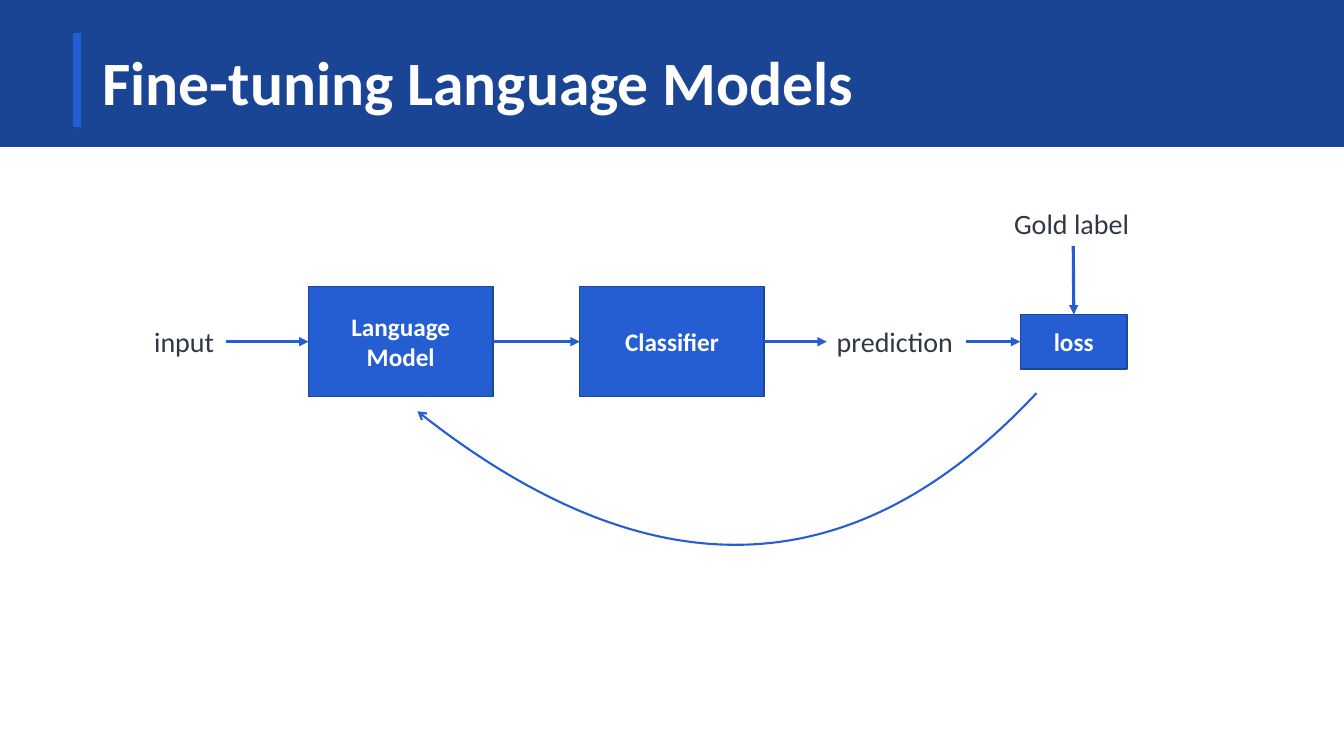
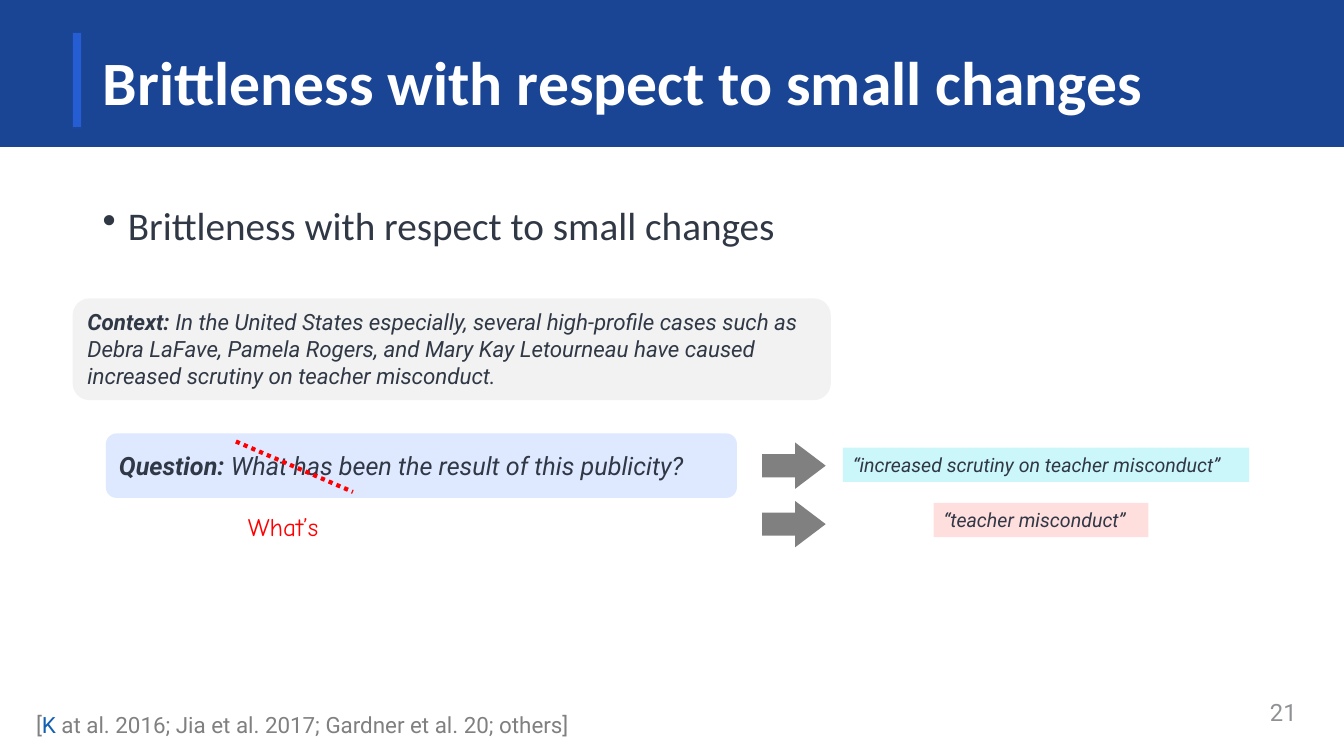
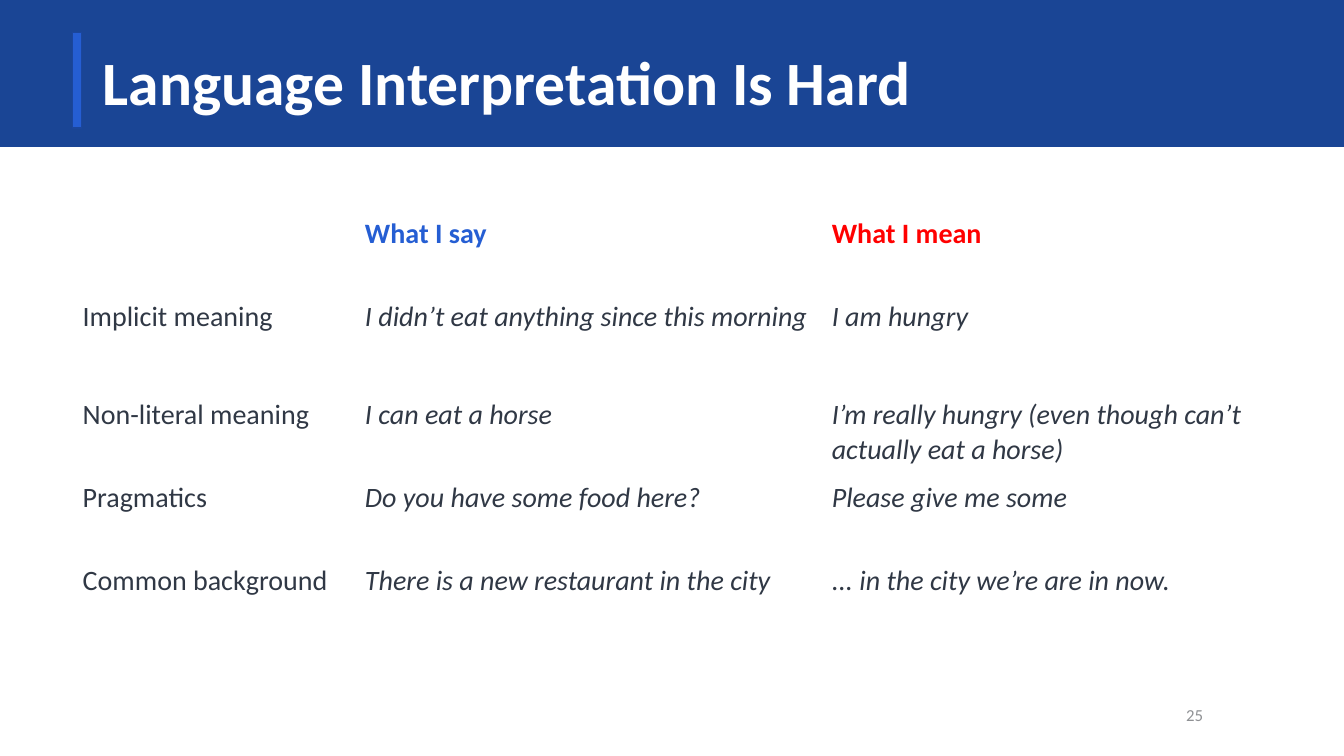
import dataclasses

import pptx
import pptx.dml.color
import pptx.enum.dml
import pptx.enum.shapes
import pptx.enum.text
import pptx.oxml
import pptx.oxml.ns
import pptx.util

Inches = pptx.util.Inches
Shape = pptx.enum.shapes.MSO_SHAPE
Align = pptx.enum.text.PP_ALIGN
Anchor = pptx.enum.text.MSO_ANCHOR
TOP, LEFT, BOTTOM, RIGHT = range(4)


@dataclasses.dataclass(frozen=True)
class Theme:
    band: str = "1A4595"
    accent: str = "255ED3"
    edge: str = "1B469C"
    ink: str = "303845"
    white: str = "FFFFFF"
    red: str = "FF0000"
    gray: str = "808080"
    number: str = "8F9194"
    cite: str = "1360B2"
    context: str = "F2F2F2"
    question: str = "93B4FF"
    answer: str = "CCF7FA"
    main_font: str = "Calibri"
    quote_font: str = "Roboto"
    hand_font: str = "Comic Neue"
    title_size: int = 44
    body_size: int = 28
    label_size: int = 20
    box_size: int = 18
    context_size: int = 16
    answer_size: int = 14
    arrow_width: float = 2.25
    curve_width: float = 1.5


THEME = Theme()


@dataclasses.dataclass(frozen=True)
class Style:
    size: int
    color: str = THEME.ink
    font: str = THEME.main_font
    bold: bool = False
    italic: bool = False

    def but(self, **changes):
        return dataclasses.replace(self, **changes)


TITLE = Style(THEME.title_size, THEME.white, bold=True)
BODY = Style(THEME.body_size)
LABEL = Style(THEME.label_size)
BOX = Style(THEME.box_size, THEME.white, bold=True)
CONTEXT = Style(THEME.context_size, font=THEME.quote_font, italic=True)
QUESTION = CONTEXT.but(size=THEME.box_size)
ANSWER = CONTEXT.but(size=THEME.answer_size)
CITATION = Style(THEME.context_size, THEME.gray, THEME.quote_font)
NOTE = Style(THEME.box_size, THEME.red, THEME.hand_font)


def rgb(color):
    return pptx.dml.color.RGBColor.from_string(color)


def add_xml(parent, tag, **attributes):
    child = pptx.oxml.parse_xml(f"<a:{tag} {pptx.oxml.ns.nsdecls('a')}/>")
    for name, value in attributes.items():
        child.set(name, str(value))
    parent.append(child)
    return child


def write(frame, spans, align=Align.LEFT, anchor=Anchor.TOP, wrap=True, spacing=None):
    """Fill the frame's one paragraph with (text, style) spans."""
    frame.word_wrap = wrap
    frame.vertical_anchor = anchor
    para = frame.paragraphs[0]
    para.alignment = align
    if spacing:
        para.line_spacing = spacing
    for text, style in spans:
        span = para.add_run()
        span.text = text
        span.font.name = style.font
        span.font.size = pptx.util.Pt(style.size)
        span.font.bold = style.bold
        span.font.italic = style.italic
        span.font.color.rgb = rgb(style.color)
    return para


def add_text(page, at, spans, **layout):
    box = page.shapes.add_textbox(*map(Inches, at))
    write(box.text_frame, spans, **layout)
    return box


def add_label(page, at, text, style=LABEL):
    """Add a one-line text box that fits its text."""
    box = add_text(page, at, [(text, style)], wrap=False)
    box.text_frame.auto_size = pptx.enum.text.MSO_AUTO_SIZE.SHAPE_TO_FIT_TEXT
    return box


def add_shape(page, kind, at, fill, edge=None, opacity=None):
    shape = page.shapes.add_shape(kind, *map(Inches, at))
    shape.shadow.inherit = False
    shape.fill.solid()
    shape.fill.fore_color.rgb = rgb(fill)
    if opacity:
        color = shape.fill._xPr.find(".//" + pptx.oxml.ns.qn("a:srgbClr"))
        add_xml(color, "alpha", val=opacity * 1000)
    if edge:
        shape.line.color.rgb = rgb(edge)
        shape.line.width = pptx.util.Pt(1)
    else:
        shape.line.fill.background()
    return shape


def style_line(shape, color, width):
    shape.line.color.rgb = rgb(color)
    shape.line.width = pptx.util.Pt(width)


def add_line(page, start, end, color, width):
    line = page.shapes.add_connector(
        pptx.enum.shapes.MSO_CONNECTOR.STRAIGHT, *map(Inches, start + end))
    style_line(line, color, width)
    add_xml(line._element.spPr, "effectLst")
    return line


def join(page, source, source_side, target, target_side):
    """Draw an arrow between the side middles of two boxes."""
    arrow = add_line(page, (0, 0), (0, 0), THEME.accent, THEME.arrow_width)
    arrow.begin_connect(source, source_side)
    arrow.end_connect(target, target_side)
    add_xml(arrow.line._get_or_add_ln(), "tailEnd", type="triangle")


def add_curved_arrow(page, points, height):
    """Draw one cubic curve; its arrowhead is at the first of the four points."""
    points = [tuple(map(Inches, point)) for point in points]
    builder = page.shapes.build_freeform(*points[0])
    builder.add_line_segments(points[1:], close=False)
    curve = builder.convert_to_shape()
    curve.shadow.inherit = False
    curve.fill.background()
    style_line(curve, THEME.accent, THEME.curve_width)
    add_xml(curve.line._get_or_add_ln(), "headEnd", type="arrow")

    outline = curve._element.spPr.find(".//" + pptx.oxml.ns.qn("a:path"))
    bezier = add_xml(outline, "cubicBezTo")
    for segment in outline.findall(pptx.oxml.ns.qn("a:lnTo")):
        bezier.append(segment[0])
        outline.remove(segment)
    # The control points lie below the visible curve.
    curve.height = Inches(height)
    outline.set("h", str(curve.height))


def add_page(deck, title):
    """Add a slide with the shared title band."""
    page = deck.slides.add_slide(deck.slide_layouts[6])
    add_shape(page, Shape.RECTANGLE, (0, 0, 13.33, 1.45), THEME.band, THEME.band)
    add_shape(page, Shape.RECTANGLE, (0.72, 0.32, 0.09, 0.95), THEME.accent, THEME.edge)
    add_text(page, (0.92, 0.32, 11.5, 1.05), [(title, TITLE)],
             anchor=Anchor.MIDDLE, spacing=0.9)
    return page


def add_page_number(page, at, number, size, font):
    add_text(page, at, [(number, Style(size, THEME.number, font))],
             align=Align.RIGHT, anchor=Anchor.MIDDLE)


def add_step(page, left, axis, width, height, text):
    """Add a blue box centred on the horizontal axis."""
    step = add_shape(page, Shape.RECTANGLE, (left, axis - height / 2, width, height),
                     THEME.accent, THEME.edge)
    write(step.text_frame, [(text, BOX)], align=Align.CENTER, anchor=Anchor.MIDDLE)
    return step


def build_fine_tuning(deck):
    page = add_page(deck, "Fine-tuning Language Models")
    axis, label_height = 3.39, 0.44
    label_top = axis - label_height / 2
    model = add_step(page, 3.06, axis, 1.83, 1.09, "Language Model")
    classifier = add_step(page, 5.75, axis, 1.83, 1.09, "Classifier")
    loss = add_step(page, 10.12, axis, 1.06, 0.54, "loss")
    source = add_label(page, (1.43, label_top, 0.81, label_height), "input")
    prediction = add_label(page, (8.2, label_top, 1.38, label_height), "prediction")
    gold = add_label(page, (9.96, 2, 1.37, label_height), "Gold label")

    flow = [source, model, classifier, prediction, loss]
    for before, after in zip(flow, flow[1:]):
        join(page, before, RIGHT, after, LEFT)
    join(page, gold, BOTTOM, loss, TOP)
    add_curved_arrow(page, [(4.14, 4.08), (6.43, 5.9), (8.48, 5.83), (10.28, 3.9)], 1.5)


def build_brittleness(deck):
    title = "Brittleness with respect to small changes"
    page = add_page(deck, title)

    body = page.shapes.add_textbox(*map(Inches, (0.92, 2, 11.5, 0.6)))
    properties = body.text_frame.paragraphs[0]._p.get_or_add_pPr()
    properties.set("marL", str(Inches(0.25)))
    properties.set("indent", str(Inches(-0.25)))
    add_xml(properties, "buChar", char="•")
    write(body.text_frame, [(title, BODY)], spacing=0.9)

    add_page_number(page, (9.96, 6.86, 3, 0.4), "21", 17, THEME.quote_font)
    add_text(page, (0.2, 7.01, 5.6, 0.37), [
        ("[", CITATION),
        ("K", CITATION.but(color=THEME.cite)),
        (" at al. 2016; Jia et al. 2017; Gardner et al. 20; others]", CITATION),
    ], align=Align.CENTER)

    context = add_shape(page, Shape.ROUNDED_RECTANGLE, (0.72, 2.96, 7.52, 1.01),
                        THEME.context)
    write(context.text_frame, [
        ("Context: ", CONTEXT.but(bold=True)),
        ("In the United States especially, several high-profile cases such as "
         "Debra LaFave, Pamela Rogers, and Mary Kay Letourneau have caused "
         "increased scrutiny on teacher misconduct.", CONTEXT),
    ])
    question = add_shape(page, Shape.ROUNDED_RECTANGLE, (1.05, 4.3, 6.26, 0.64),
                         THEME.question, opacity=30)
    write(question.text_frame, [
        ("Question: ", QUESTION.but(bold=True)),
        ("What has been the result of this publicity?", QUESTION),
    ], anchor=Anchor.MIDDLE)

    strike = add_line(page, (2.34, 4.38), (3.5, 4.88), THEME.red, 3)
    strike.line.dash_style = pptx.enum.dml.MSO_LINE.ROUND_DOT
    add_label(page, (2.36, 5.02, 1.03, 0.4), "What’s", NOTE)

    answers = [
        (4.39, (8.36, 4.44, 4.03, 0.34), THEME.answer, None,
         "“increased scrutiny on teacher misconduct”"),
        (4.97, (9.26, 4.99, 2.13, 0.34), THEME.red, 13, "“teacher misconduct”"),
    ]
    for arrow_top, at, fill, opacity, text in answers:
        arrow = add_shape(page, Shape.RIGHT_ARROW, (7.56, arrow_top, 0.63, 0.46),
                          THEME.gray)
        arrow.adjustments[1] = 0.66
        answer = add_shape(page, Shape.RECTANGLE, at, fill, opacity=opacity)
        write(answer.text_frame, [(text, ANSWER)], wrap=False)


def build_interpretation(deck):
    page = add_page(deck, "Language Interpretation Is Hard")
    add_page_number(page, (11.45, 6.89, 0.58, 0.4), "25", 12, THEME.main_font)
    rows = [
        ("", "What I say", "What I mean"),
        ("Implicit meaning", "I didn’t eat anything since this morning", "I am hungry"),
        ("Non-literal meaning", "I can eat a horse",
         "I’m really hungry (even though can’t actually eat a horse)"),
        ("Pragmatics", "Do you have some food here?", "Please give me some"),
        ("Common background", "There is a new restaurant in the city",
         "... in the city we’re are in now."),
    ]
    widths = [2.8, 4.63, 4.3]
    heights = [0.82, 0.98, 0.82, 0.82, 0.82]
    heading_colors = [THEME.ink, THEME.accent, THEME.red]
    table = page.shapes.add_table(
        len(rows), len(widths),
        *map(Inches, (0.72, 2.1, sum(widths), sum(heights)))).table
    table.first_row = table.horz_banding = False
    for column, width in zip(table.columns, widths):
        column.width = Inches(width)
    for row, height in zip(table.rows, heights):
        row.height = Inches(height)
    for row_index, texts in enumerate(rows):
        for column_index, text in enumerate(texts):
            cell = table.cell(row_index, column_index)
            cell.fill.background()
            if row_index == 0:
                style = LABEL.but(color=heading_colors[column_index], bold=True)
            else:
                style = LABEL.but(italic=column_index > 0)
            if text:
                write(cell.text_frame, [(text, style)])


def main():
    deck = pptx.Presentation()
    deck.slide_width = Inches(13.33)
    deck.slide_height = Inches(7.5)
    build_fine_tuning(deck)
    build_brittleness(deck)
    build_interpretation(deck)
    deck.save("out.pptx")


if __name__ == "__main__":
    main()
